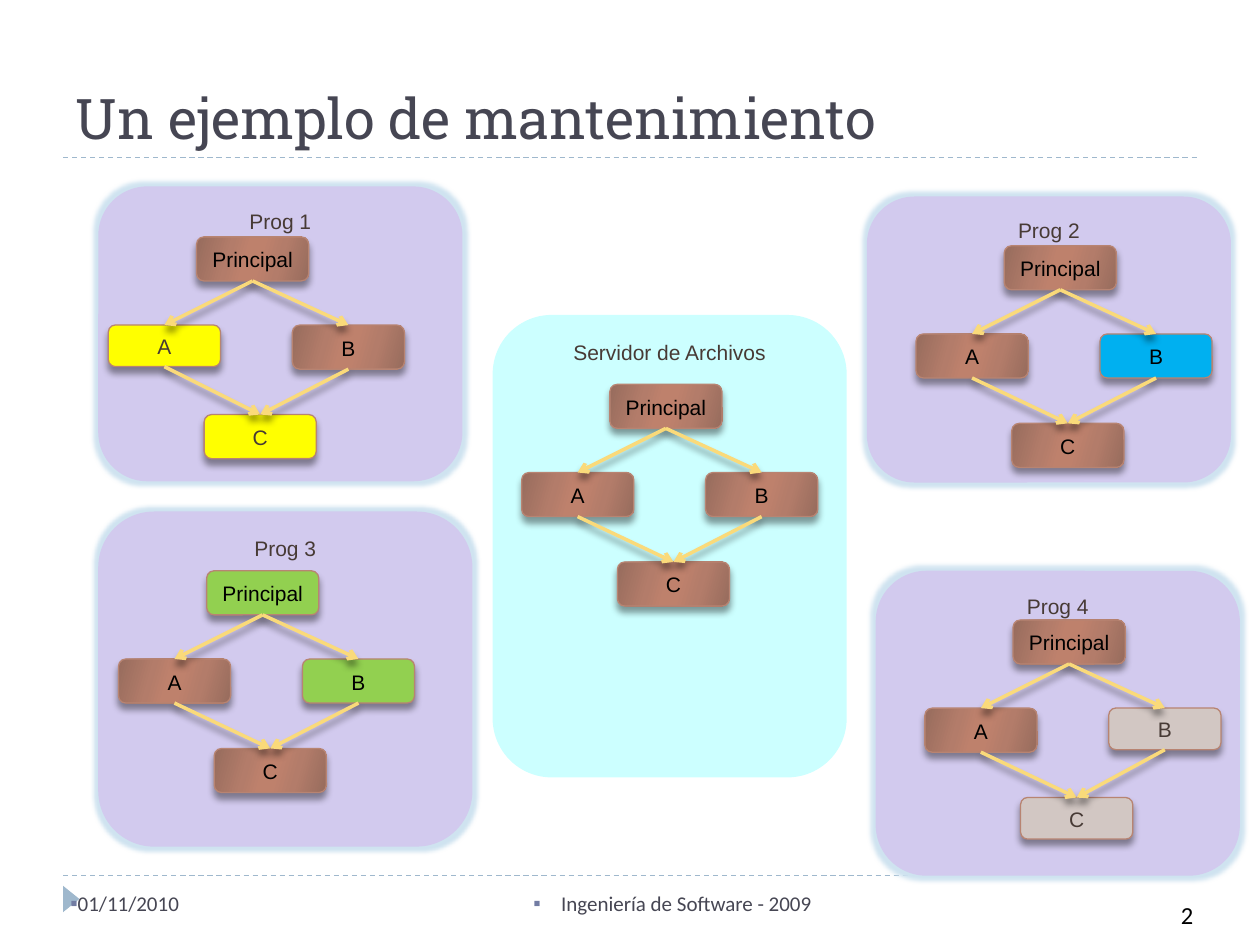
from pptx import Presentation
from pptx.dml.color import RGBColor
from pptx.enum.dml import MSO_LINE
from pptx.enum.shapes import MSO_CONNECTOR, MSO_SHAPE
from pptx.enum.text import MSO_ANCHOR, MSO_AUTO_SIZE, PP_ALIGN
from pptx.oxml import parse_xml
from pptx.oxml.ns import nsdecls, qn
from pptx.util import Inches, Pt

COLORS = {
    "title": "464653", "text": "473A35", "black": "000000", "rule": "9FB8CD",
    "bullet": "727CA3", "glow": "CFE3F0", "client": "D2CAEE", "server": "CCFFFF",
    "border": "B88472", "arrow": "FADA7A", "yellow": "FFFF00", "blue": "00B0F0",
    "green": "92D050", "gray": "D2C7C3",
}
BROWN_STOPS = [(0, "976C5D"), (30, "B37C6A"), (45, "BE816C"),
               (55, "BE816C"), (73, "B37C6A"), (100, "976C5D")]
TITLE = "Un ejemplo de mantenimiento"
PROGRAMS = [
    {"label": "Prog 3", "panel": (0.78, 4.06, 2.97, 2.66), "modules_at": (0.94, 4.53),
     "changed": {"Principal": "green", "B": "green"}},
    {"label": "Prog 1", "panel": (0.78, 1.48, 2.89, 2.34), "modules_at": (0.86, 1.88),
     "changed": {"A": "yellow", "C": "yellow"}},
    {"label": "Prog 4", "panel": (6.95, 4.53, 2.89, 2.42), "modules_at": (7.34, 4.92),
     "changed": {"B": "gray", "C": "gray"}},
    {"label": "Prog 2", "panel": (6.88, 1.56, 2.89, 2.27), "modules_at": (7.27, 1.95),
     "changed": {"B": "blue"}},
    {"label": "Servidor de Archivos", "panel": (3.91, 2.5, 2.81, 3.67),
     "modules_at": (4.14, 3.05), "changed": {}},
]
MODULE_OFFSETS = {"Principal": (0.7, 0), "A": (0, 0.7), "B": (1.46, 0.7), "C": (0.76, 1.41)}
CALLS = [("Principal", "A"), ("Principal", "B"), ("A", "C"), ("B", "C")]
MODULE_WIDTH, MODULE_HEIGHT, SHORT_HEIGHT = 0.89, 0.35, 0.33
FOOTERS = [
    {"text": "01/11/2010", "box": (0.46, 7.02, 2.33, 0.4), "size": 12, "color": "title",
     "align": PP_ALIGN.LEFT, "hanging": 0},
    {"text": "Ingeniería de Software - 2009", "box": (3.37, 7.02, 3.17, 0.4), "size": 12,
     "color": "title", "align": PP_ALIGN.RIGHT, "hanging": 0.22},
    {"text": "2", "box": (7.66, 7.09, 1.91, 0.33), "size": 14, "color": "black",
     "align": PP_ALIGN.RIGHT, "hanging": None},
]
SHADOW = ('<a:outerShdw blurRad="50800" dist="43180" dir="5400000" rotWithShape="0">'
          '<a:srgbClr val="000000"><a:alpha val="40000"/></a:srgbClr></a:outerShdw>')
GLOW = f'<a:glow rad="63500"><a:srgbClr val="{COLORS["glow"]}"/></a:glow>'


def rgb(name):
    """Return the named colour."""
    return RGBColor.from_string(COLORS[name])


def set_effect(shape, effect=""):
    """Replace the effects of a shape or connector."""
    properties = shape._element.spPr
    for existing in properties.findall(qn("a:effectLst")):
        properties.remove(existing)
    properties.append(parse_xml(f'<a:effectLst {nsdecls("a")}>{effect}</a:effectLst>'))


def style_text(paragraph, font_name, size, color, align):
    """Format a whole paragraph."""
    paragraph.alignment = align
    paragraph.font.name = font_name
    paragraph.font.size = Pt(size)
    paragraph.font.color.rgb = rgb(color)


def add_rounded(shapes, box, label, color, anchor, margin):
    """Add a rounded box with a centred label."""
    rounded = shapes.add_shape(MSO_SHAPE.ROUNDED_RECTANGLE, *map(Inches, box))
    frame = rounded.text_frame
    frame.text = label
    frame.word_wrap = True
    frame.vertical_anchor = anchor
    frame.margin_left = frame.margin_right = Inches(margin)
    style_text(frame.paragraphs[0], "Arial", 12, color, PP_ALIGN.CENTER)
    frame.paragraphs[0].line_spacing = 1.05
    return rounded


def fill_brown(module):
    """Fill a module with the brown gradient."""
    module.fill.gradient()
    module.fill.gradient_angle = 344
    stops = module._element.spPr.find(qn("a:gradFill")).find(qn("a:gsLst"))
    for stop in list(stops):
        stops.remove(stop)
    for position, color in BROWN_STOPS:
        stops.append(parse_xml(f'<a:gs {nsdecls("a")} pos="{position * 1000}">'
                               f'<a:srgbClr val="{color}"/></a:gs>'))


def add_panel(slide, program):
    """Add the labelled background of a program or the server."""
    is_client = bool(program["changed"])
    panel = add_rounded(slide.shapes, program["panel"], program["label"],
                        "text", MSO_ANCHOR.TOP, 0.1)
    panel.fill.solid()
    panel.fill.fore_color.rgb = rgb("client" if is_client else "server")
    panel.line.fill.background()
    set_effect(panel, GLOW if is_client else "")


def add_module(shapes, name, origin, fill):
    """Add one module box."""
    left, top = (start + offset for start, offset in zip(origin, MODULE_OFFSETS[name]))
    muted = fill in ("yellow", "gray")
    height = SHORT_HEIGHT if muted and (name, fill) != ("C", "yellow") else MODULE_HEIGHT
    module = add_rounded(shapes, (left, top, MODULE_WIDTH, height), name,
                         "text" if muted else "black", MSO_ANCHOR.MIDDLE, 0.03)
    if fill:
        module.fill.solid()
        module.fill.fore_color.rgb = rgb(fill)
    else:
        fill_brown(module)
    module.line.color.rgb = rgb("border")
    module.line.width = Pt(0.75)
    set_effect(module, SHADOW)
    return module


def add_modules(slide, program):
    """Add the grouped call diagram of a program."""
    shapes = slide.shapes.add_group_shape().shapes
    modules = {name: add_module(shapes, name, program["modules_at"], program["changed"].get(name))
               for name in MODULE_OFFSETS}
    for caller, called in CALLS:
        call = shapes.add_connector(MSO_CONNECTOR.STRAIGHT, 0, 0, 0, 0)
        call.begin_connect(modules[caller], 2)
        call.end_connect(modules[called], 0)
        call.line.color.rgb = rgb("arrow")
        call.line.width = Pt(2)
        call._element.spPr.find(qn("a:ln")).append(
            parse_xml(f'<a:tailEnd {nsdecls("a")} type="arrow"/>'))
        set_effect(call, SHADOW)


def add_decoration(slide):
    """Add the dashed rules and the footer marker."""
    for height in (6.95, 1.25):
        rule = slide.shapes.add_connector(MSO_CONNECTOR.STRAIGHT, Inches(0.5), Inches(height),
                                          Inches(9.5), Inches(height))
        rule.line.color.rgb = rgb("rule")
        rule.line.width = Pt(0.75)
        rule.line.dash_style = MSO_LINE.DASH
        set_effect(rule)
    marker = slide.shapes.add_shape(MSO_SHAPE.ISOSCELES_TRIANGLE, *map(Inches, (0.46, 7.07, 0.21, 0.13)))
    marker.rotation = 90
    marker.fill.solid()
    marker.fill.fore_color.rgb = rgb("rule")
    marker.line.fill.background()
    set_effect(marker)


def add_footer(slide, footer):
    """Add one footer text with its optional bullet."""
    frame = slide.shapes.add_textbox(*map(Inches, footer["box"])).text_frame
    frame.word_wrap = True
    paragraph = frame.paragraphs[0]
    paragraph.text = footer["text"]
    if footer["hanging"] is not None:
        properties = paragraph._p.get_or_add_pPr()
        indent = Inches(footer["hanging"])
        properties.set("marL", str(indent))
        properties.set("indent", str(-indent))
        for bullet in (f'<a:buClr {nsdecls("a")}><a:srgbClr val="{COLORS["bullet"]}"/></a:buClr>',
                       f'<a:buFont {nsdecls("a")} typeface="Arial"/>',
                       f'<a:buChar {nsdecls("a")} char="▪"/>'):
            properties.append(parse_xml(bullet))
    style_text(paragraph, "Calibri", footer["size"], footer["color"], footer["align"])


def main():
    """Build the maintenance example slide."""
    presentation = Presentation()
    presentation.slide_width, presentation.slide_height = Inches(10), Inches(7.5)
    slide = presentation.slides.add_slide(presentation.slide_layouts[5])
    add_decoration(slide)
    for program in PROGRAMS:
        add_panel(slide, program)
    title = slide.shapes.title
    title.left, title.top, title.width, title.height = map(Inches, (0.5, 0.17, 9, 1.08))
    title.text_frame.text = TITLE
    title.text_frame.auto_size = MSO_AUTO_SIZE.NONE
    title.text_frame.vertical_anchor = MSO_ANCHOR.BOTTOM
    style_text(title.text_frame.paragraphs[0], "Roboto Slab", 32, "title", PP_ALIGN.LEFT)
    for footer in FOOTERS:
        add_footer(slide, footer)
    for program in PROGRAMS:
        add_modules(slide, program)
    presentation.save("out.pptx")


if __name__ == "__main__":
    main()
